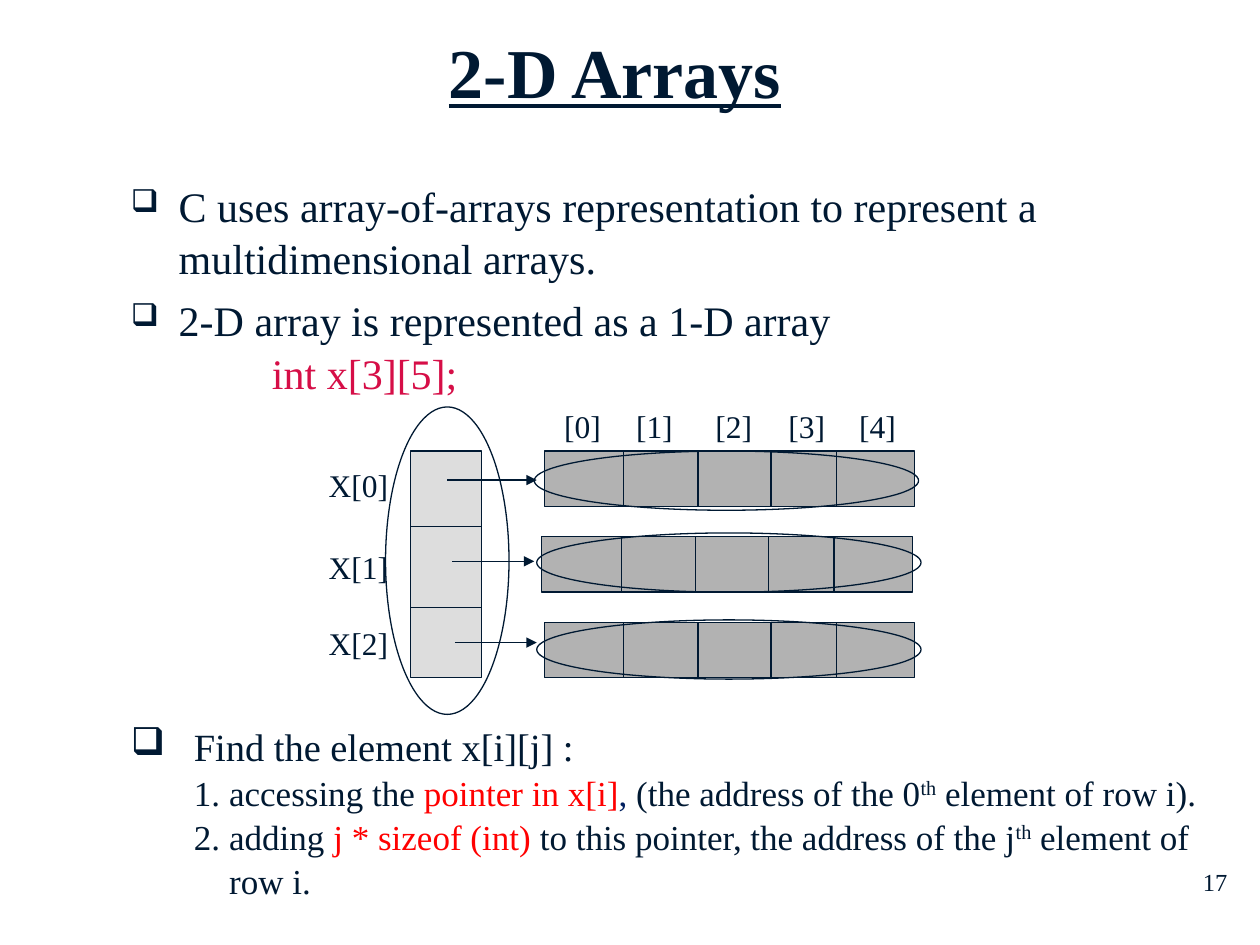
"""Build the slide on how C lays out 2-D arrays."""
from lxml.etree import SubElement
from pptx import Presentation
from pptx.dml.color import RGBColor
from pptx.enum.shapes import MSO_CONNECTOR, MSO_SHAPE
from pptx.enum.text import MSO_ANCHOR, PP_ALIGN
from pptx.oxml.ns import qn
from pptx.util import Inches, Pt

FONT = "Times New Roman"
INK = RGBColor(0x00, 0x19, 0x32)
CRIMSON = RGBColor(0xD6, 0x0E, 0x47)
RED = RGBColor(0xFF, 0x00, 0x00)
NAVY = RGBColor(0x00, 0x20, 0x60)
GRAY = RGBColor(0xB2, 0xB2, 0xB2)
LIGHT = RGBColor(0xDD, 0xDD, 0xDD)

BOX = {"buChar": {"char": "❑"}}
SMALL_BOX = {"buSzPct": {"val": "75000"}, **BOX}
FIRST = {"buAutoNum": {"type": "arabicPeriod"}}
SECOND = {"buAutoNum": {"type": "arabicPeriod", "startAt": "2"}}

# Each paragraph: size, left margin, indent, space before, bullet, runs
INTRO = [
    (24, 0.38, -0.38, 0, SMALL_BOX,
     [("C uses array-of-arrays representation to represent a multidimensional arrays.", INK)]),
    (24, 0.38, -0.38, 4.8, SMALL_BOX, [("2-D array is represented as a 1-D array", INK)]),
    (24, 1.12, 0, 0, {}, [("int x[3][5];", CRIMSON)]),
]
STEPS = [
    (22, 0.5, -0.5, 0, BOX, [("Find the element x[i][j] :", INK)]),
    (20, 0.78, -0.28, 0, FIRST,
     [("accessing the ", INK), ("pointer in x[i]", RED), (", ", NAVY),
      ("(the address of the 0", INK), ("th", INK, True), (" element of row i).", INK)]),
    (20, 0.78, -0.28, 0, SECOND,
     [("adding ", INK), ("j * sizeof (int) ", RED),
      ("to this pointer, the address of the j", INK), ("th", INK, True),
      (" element of row i.", INK)]),
]

# Each row: label, label top, array left, arrow start, arrow end, ellipse left, ellipse top
ROWS = [
    ("X[0]", 3.65, 4.32, 3.55, 4.26, 4.24, 3.58),
    ("X[1]", 4.3, 4.3, 3.59, 4.24, 4.26, 4.23),
    ("X[2]", 4.9, 4.32, 3.61, 4.26, 4.26, 4.92),
]
COLUMNS = [("[0]", 4.38), ("[1]", 4.95), ("[2]", 5.58), ("[3]", 6.16), ("[4]", 6.72)]
DIVIDERS = (0.63, 1.22, 1.8, 2.32)
TOP, PITCH, ROW_W, ROW_H = 3.58, 0.68, 2.94, 0.44
ARROW_TOP, ARROW_PITCH = 3.81, 0.645
PTR_X, PTR_W, PTR_H = 3.26, 0.56, 1.8
PTR_DIVIDERS = (4.18, 4.82)


def style(r, size, color):
    r.font.name, r.font.size = FONT, Pt(size)
    r.font.color.rgb = color


def text_box(s, x, y, w, h):
    tf = s.shapes.add_textbox(*map(Inches, (x, y, w, h))).text_frame
    tf.word_wrap = True
    return tf


def label(s, text, x, y, w, h, size=18, align=PP_ALIGN.LEFT):
    tf = text_box(s, x, y, w, h)
    p = tf.paragraphs[0]
    p.alignment = align
    r = p.add_run()
    r.text = text
    style(r, size, INK)
    return tf, r


def paragraphs(s, items, x, y, w, h):
    tf = text_box(s, x, y, w, h)
    for i, (size, margin, indent, before, bullet, runs) in enumerate(items):
        p = tf.add_paragraph() if i else tf.paragraphs[0]
        p.line_spacing = 1.05
        p.space_before = Pt(before)
        pPr = p._p.get_or_add_pPr()
        pPr.set("marL", str(Inches(margin)))
        pPr.set("indent", str(Inches(indent)))
        for tag, attrs in bullet.items():
            SubElement(pPr, qn(f"a:{tag}"), attrs)
        for text, color, *raised in runs:
            r = p.add_run()
            r.text = text
            style(r, size, color)
            if raised:
                r.font._element.set("baseline", "30000")


def shape(s, kind, x, y, w, h, fill=None):
    sp = s.shapes.add_shape(kind, *map(Inches, (x, y, w, h)))
    sp.shadow.inherit = False
    if fill is None:
        sp.fill.background()
    else:
        sp.fill.solid()
        sp.fill.fore_color.rgb = fill
    sp.line.color.rgb = INK
    sp.line.width = Pt(0.75)


def line(s, x1, y1, x2, y2, arrow=False):
    c = s.shapes.add_connector(MSO_CONNECTOR.STRAIGHT, *map(Inches, (x1, y1, x2, y2)))
    c.line.color.rgb = INK
    c.line.width = Pt(0.75)
    if arrow:
        SubElement(c.line._get_or_add_ln(), qn("a:tailEnd"), type="triangle")
    SubElement(c._element.spPr, qn("a:effectLst"))


def diagram(s):
    for i, (_, _, x, *_) in enumerate(ROWS):
        y = TOP + i * PITCH
        shape(s, MSO_SHAPE.RECTANGLE, x, y, ROW_W, ROW_H, GRAY)
        for dx in DIVIDERS:
            line(s, x + dx, y, x + dx, y + ROW_H)
    shape(s, MSO_SHAPE.RECTANGLE, PTR_X, TOP, PTR_W, PTR_H, LIGHT)
    for y in PTR_DIVIDERS:
        line(s, PTR_X, y, PTR_X + PTR_W, y)
    for i, (name, label_y, _, start, end, _, _) in enumerate(ROWS):
        y = ARROW_TOP + i * ARROW_PITCH
        line(s, start, y, end, y, arrow=True)
        label(s, name, 2.51, label_y, 1.04, 0.4)
    for name, x in COLUMNS:
        label(s, name, x, 3.18, 0.64, 0.4)
    shape(s, MSO_SHAPE.OVAL, 3.06, 3.23, 0.98, 2.44)
    for *_, x, y in ROWS:
        shape(s, MSO_SHAPE.OVAL, x, y, 3.05, 0.47)


def main():
    prs = Presentation()
    prs.slide_width, prs.slide_height = Inches(10), Inches(7.5)
    s = prs.slides.add_slide(prs.slide_layouts[6])
    label(s, "17", 7.76, 6.83, 2.08, 0.5, 14, PP_ALIGN.RIGHT)
    tf, r = label(s, "2-D Arrays", 0.63, 0.15, 8.5, 0.79, 40, PP_ALIGN.CENTER)
    tf.vertical_anchor = MSO_ANCHOR.BOTTOM
    r.font.bold = r.font.underline = True
    paragraphs(s, INTRO, 0.94, 1.36, 8.19, 2.49)
    diagram(s)
    paragraphs(s, STEPS, 0.94, 5.67, 8.91, 1.48)
    prs.save("out.pptx")


if __name__ == "__main__":
    main()
